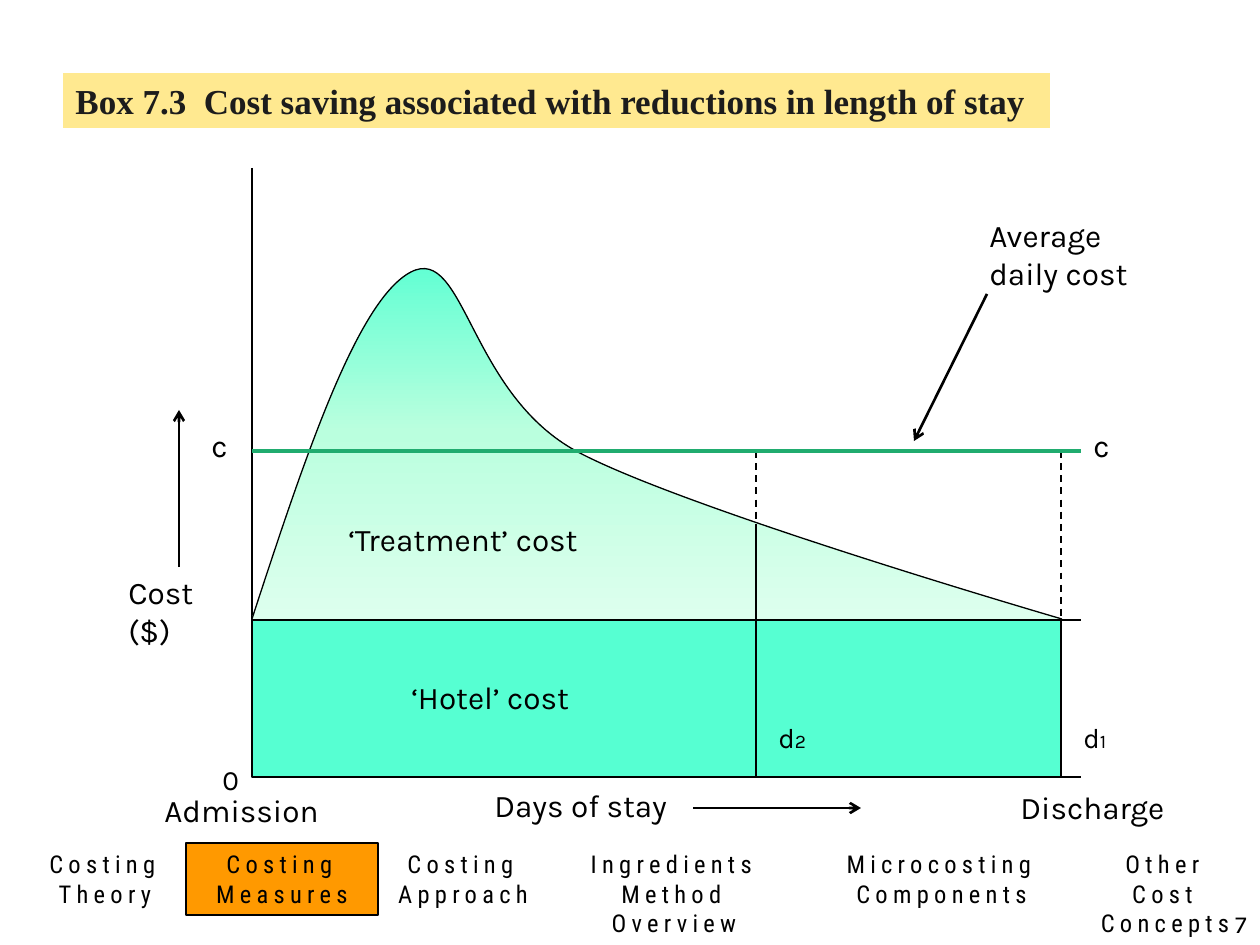
from lxml import etree
from pptx import Presentation
from pptx.dml.color import RGBColor
from pptx.enum.dml import MSO_LINE
from pptx.enum.shapes import MSO_CONNECTOR, MSO_SHAPE
from pptx.enum.text import MSO_ANCHOR, MSO_AUTO_SIZE, PP_ALIGN
from pptx.oxml import parse_xml
from pptx.oxml.ns import nsdecls, qn
from pptx.util import Emu, Pt

STRAIGHT, RECT = MSO_CONNECTOR.STRAIGHT, MSO_SHAPE.RECTANGLE
DASH = MSO_LINE.DASH
GROW = MSO_AUTO_SIZE.SHAPE_TO_FIT_TEXT
TOP, MIDDLE, BOTTOM = MSO_ANCHOR.TOP, MSO_ANCHOR.MIDDLE, MSO_ANCHOR.BOTTOM
LEFT, CENTER, RIGHT = PP_ALIGN.LEFT, PP_ALIGN.CENTER, PP_ALIGN.RIGHT
BODY, NAV, TITLE = "Karla", "Roboto Condensed", "Times New Roman"
BLACK, GREEN, MINT = "000000", "20AC6F", "56FFD2"

# Chart levels and positions, in px
X0, X_END = 252, 1081
Y_TOP, Y_AVERAGE, Y_HOTEL, Y_BASE = 168, 451, 620, 777
X_D2, Y_D2, X_D1 = 756, 525, 1061

# Start point, then three points for each Bezier segment
CURVE = [(252, 619),
         (304, 460), (357, 300), (411, 272),
         (465, 244), (469, 394), (578, 452),
         (687, 510), (1062, 619), (1062, 619)]
GRADIENT = [(0, MINT), (50, "BAFFDE"), (100, "DDFFEE")]

# Start, end, width in pt, colour, dashed
AXES = [
    ((X0, Y_TOP), (X0, Y_BASE), 0.75, BLACK, False),
    ((X_END, Y_BASE), (X0, Y_BASE), 0.75, BLACK, False),
    ((X_END, Y_HOTEL), (X0, Y_HOTEL), 0.75, BLACK, False),
]
MARKERS = [
    ((X_D1, Y_AVERAGE), (X_D1, Y_BASE), 1, BLACK, True),
    ((X_D2, Y_AVERAGE), (X_D2, Y_D2), 1, BLACK, True),
    ((X_D2, Y_D2), (X_D2, Y_BASE), 0.75, BLACK, False),
    ((X_END, Y_AVERAGE), (X0, Y_AVERAGE), 1.75, GREEN, False),
]
ARROWS = [((693, 808), (861, 808)), ((987, 294), (914, 441)), ((179, 567), (179, 410))]

# Text, box, size in pt, wrap
LABELS = [
    ("Average daily cost", (977, 210, 199, 89), 18, True),
    ("Cost ($)", (116, 567, 126, 50), 18, True),
    ("Admission", (152, 785, 199, 50), 18, True),
    ("Days of stay", (482, 780, 199, 50), 18, True),
    ("Discharge", (1008, 782, 199, 50), 18, True),
    ("‘Hotel’ cost", (399, 672, 199, 50), 18, True),
    ("‘Treatment’ cost", (336, 514, 262, 50), 18, True),
    ("c", (1081, 420, 40, 50), 18, False),
    ("c", (199, 420, 40, 50), 18, False),
    ("0", (210, 756, 40, 47), 16, False),
]
DAY_LABELS = [("1", (1071, 714, 53, 47), False), ("2", (766, 714, 62, 47), True)]

# Text, left, width
NAV_Y, NAV_H = 843, 72
SECTIONS = [
    ("Costing Theory", 3, 204),
    ("Costing Measures", 186, 192),
    ("Costing Approach", 373, 180),
    ("Ingredients Method Overview", 543, 262),
    ("Microcosting Components", 805, 273),
    ("Other Cost Concepts", 1075, 180),
]
CURRENT = "Costing Measures"


def px(n):
    return Emu(round(n * 914400 / 126))


def rgb(value):
    return RGBColor.from_string(value)


def add_line(start, end, width, color=BLACK, dashed=False, arrow=False):
    c = s.shapes.add_connector(STRAIGHT, *map(px, start + end))
    c.line.width = Pt(width)
    c.line.color.rgb = rgb(color)
    if dashed:
        c.line.dash_style = DASH
    if arrow:
        etree.SubElement(c.line._get_or_add_ln(), qn("a:tailEnd"), type="arrow")
    etree.SubElement(c._element.spPr, qn("a:effectLst"))


def add_rect(box, fill, outlined=True):
    sp = s.shapes.add_shape(RECT, *map(px, box))
    sp.shadow.inherit = False
    sp.fill.solid()
    sp.fill.fore_color.rgb = rgb(fill)
    if outlined:
        sp.line.color.rgb = rgb(BLACK)
        sp.line.width = Pt(0.75)
    else:
        sp.line.fill.background()
    return sp


def add_textbox(box):
    return s.shapes.add_textbox(*map(px, box))


def write(sp, text, size, font=BODY, color=BLACK, align=LEFT, anchor=TOP,
          wrap=True, grow=True, bold=False):
    """Fill the shape's first paragraph and return that paragraph."""
    tf = sp.text_frame
    tf.word_wrap = wrap
    tf.vertical_anchor = anchor
    if grow:
        tf.auto_size = GROW
    p = tf.paragraphs[0]
    p.alignment = align
    p.font.name, p.font.size, p.font.bold = font, Pt(size), bold
    p.font.color.rgb = rgb(color)
    p.add_run().text = text
    return p


def add_curve():
    """Draw the treatment cost area, turning line segments into Bezier curves."""
    scale = px(1)
    builder = s.shapes.build_freeform(*CURVE[0], scale=scale)
    builder.add_line_segments(CURVE[1:], close=False)
    sp = builder.convert_to_shape()
    sp.shadow.inherit = False
    sp.line.color.rgb = rgb(BLACK)
    sp.line.width = Pt(0.75)

    segments = list(sp._element.iter(qn("a:lnTo")))
    for i in range(0, len(segments), 3):
        bezier = etree.Element(qn("a:cubicBezTo"))
        segments[i].addprevious(bezier)
        for segment in segments[i:i + 3]:
            bezier.append(segment[0])
            segment.getparent().remove(segment)

    stops = "".join(f'<a:gs pos="{pos * 1000}"><a:srgbClr val="{color}"/></a:gs>'
                    for pos, color in GRADIENT)
    fill = parse_xml(f'<a:gradFill {nsdecls("a")} rotWithShape="1"><a:gsLst>{stops}</a:gsLst>'
                     '<a:lin ang="5400000" scaled="1"/></a:gradFill>')
    sp._element.spPr.find(qn("a:custGeom")).addnext(fill)


prs = Presentation()
prs.slide_width, prs.slide_height = px(1260), px(945)
s = prs.slides.add_slide(prs.slide_layouts[6])

for line in AXES:
    add_line(*line)
add_curve()
add_rect((X0, Y_HOTEL, X_D1 - X0, Y_BASE - Y_HOTEL), MINT)
for line in MARKERS:
    add_line(*line)

for text, box, size, wrap in LABELS:
    write(add_textbox(box), text, size, wrap=wrap)
for index, box, wrap in DAY_LABELS:
    p = write(add_textbox(box), "d", 16, wrap=wrap)
    r = p.add_run()
    r.text = index
    r.font.size = Pt(11)
for start, end in ARROWS:
    add_line(start, end, 1.5, arrow=True)

write(add_rect((63, 73, 987, 55), "FFE990", outlined=False),
      "Box 7.3  Cost saving associated with reductions in length of stay",
      20, TITLE, "1C1C1C", anchor=MIDDLE, bold=True)
write(add_textbox((997, 882, 262, 63)), "7", 14, align=RIGHT, anchor=BOTTOM, grow=False)

for text, left, width in SECTIONS:
    box = (left, NAV_Y, width, NAV_H)
    sp = add_rect(box, "FF9900") if text == CURRENT else add_textbox(box)
    p = write(sp, text, 14, NAV, align=CENTER)
    p.runs[0].font._element.set("spc", "300")

prs.save("out.pptx")
